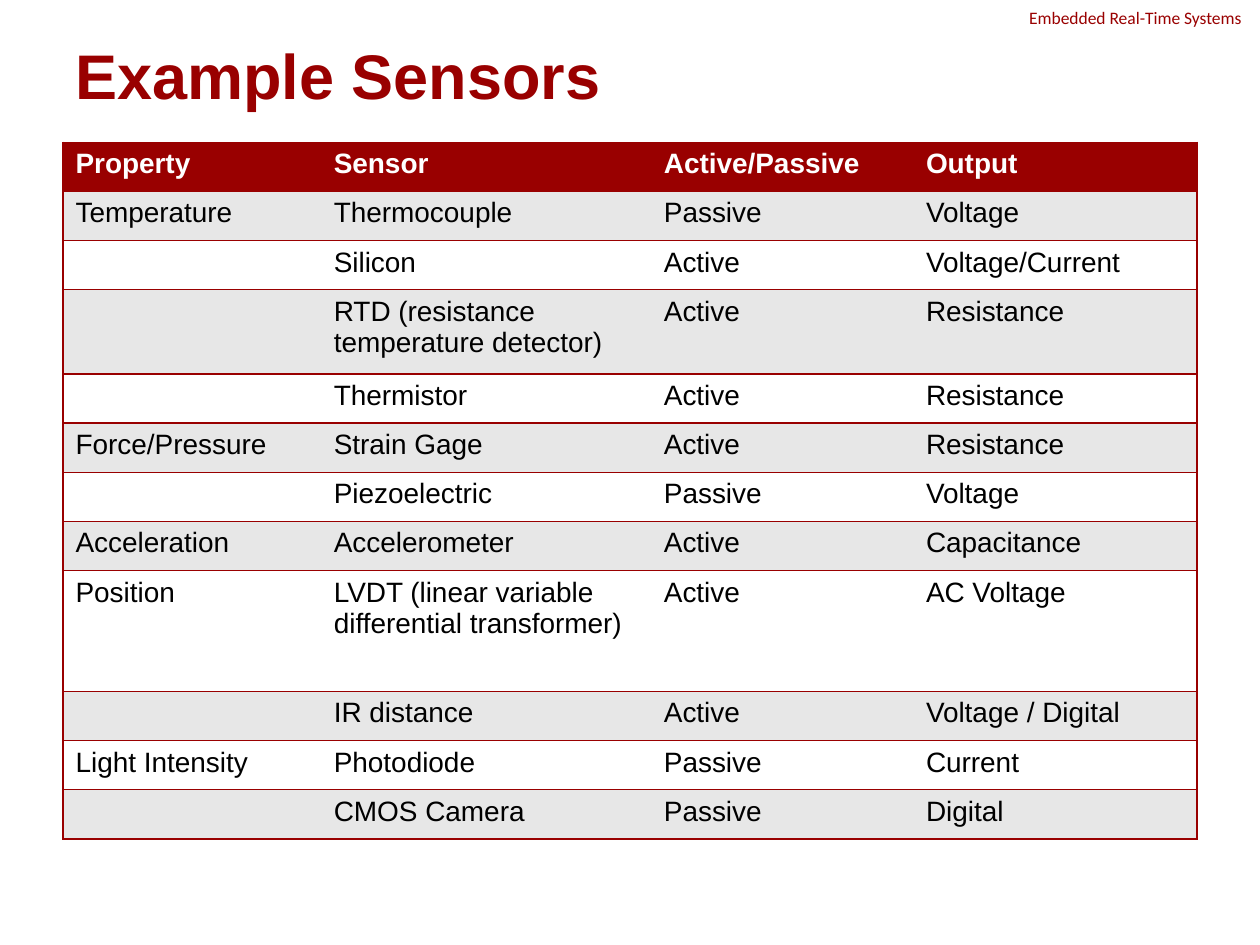
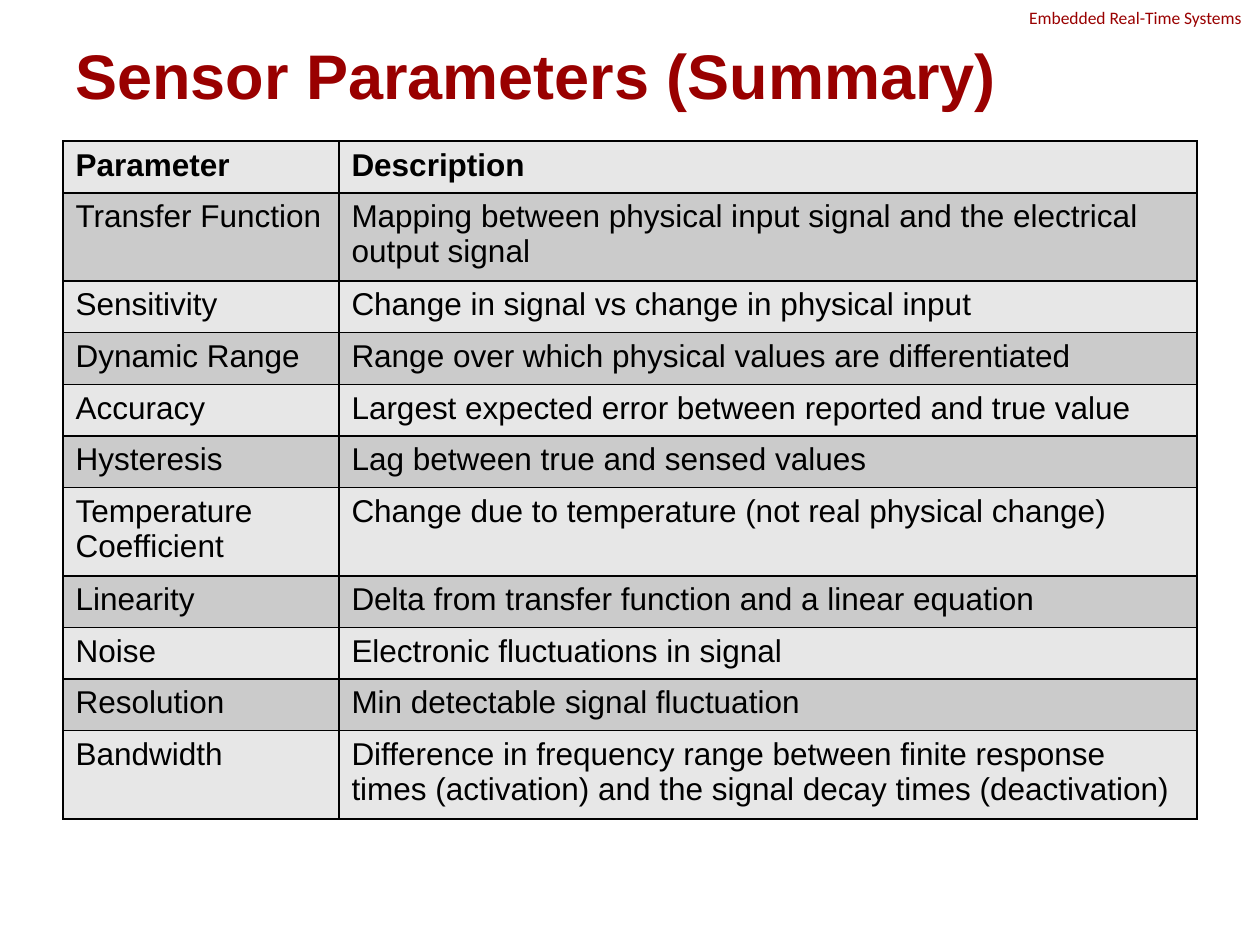
from dataclasses import dataclass

import lxml.etree
import pptx
import pptx.dml.color
import pptx.enum.text
import pptx.oxml.ns
import pptx.util

Inches = pptx.util.Inches
Pt = pptx.util.Pt
qualified = pptx.oxml.ns.qn

RED, BLACK, WHITE = "990000", "000000", "FFFFFF"
LIGHT_GREY, MID_GREY = "E7E7E7", "CBCBCB"
BODY_FONT, BANNER_FONT = "Arial", "Calibri"
PLAIN_TABLE_STYLE = "{2D5ABB26-0587-4C30-8999-92F81FD0307C}"
LEFT, CONTENT_WIDTH = 0.5, 9


@dataclass(frozen=True)
class TextStyle:
    font: str
    size: float
    color: str
    bold: bool = False


@dataclass(frozen=True)
class TableDesign:
    top: float
    column_widths: tuple[float, ...]
    row_height: float
    tall_rows: dict[int, float]
    size: float
    header_color: str
    header_fill: str
    band_fills: tuple[str, str]
    border_color: str
    inner_verticals: bool


@dataclass(frozen=True)
class TableSlide:
    title: str
    design: TableDesign
    rows: tuple[tuple[str, ...], ...]


BANNER_STYLE = TextStyle(BANNER_FONT, 10, RED)
TITLE_STYLE = TextStyle(BODY_FONT, 36, RED, True)

SENSORS = TableSlide(
    "Example Sensors",
    TableDesign(1.13, (2.05, 2.62, 2.08, 2.25), 0.39, {3: 0.67, 8: 0.96}, 16,
                WHITE, RED, (LIGHT_GREY, WHITE), RED, False),
    (
        ("Property", "Sensor", "Active/Passive", "Output"),
        ("Temperature", "Thermocouple", "Passive", "Voltage"),
        ("", "Silicon", "Active", "Voltage/Current"),
        ("", "RTD (resistance temperature detector)", "Active", "Resistance"),
        ("", "Thermistor", "Active", "Resistance"),
        ("Force/Pressure", "Strain Gage", "Active", "Resistance"),
        ("", "Piezoelectric", "Passive", "Voltage"),
        ("Acceleration", "Accelerometer", "Active", "Capacitance"),
        ("Position", "LVDT (linear variable differential transformer)", "Active", "AC Voltage"),
        ("", "IR distance", "Active", "Voltage / Digital"),
        ("Light Intensity", "Photodiode", "Passive", "Current"),
        ("", "CMOS Camera", "Passive", "Digital"),
    ),
)

PARAMETERS = TableSlide(
    "Sensor Parameters (Summary)",
    TableDesign(1.12, (2.19, 6.81), 0.41, {1: 0.7, 6: 0.7, 10: 0.7}, 18,
                BLACK, LIGHT_GREY, (MID_GREY, LIGHT_GREY), BLACK, True),
    (
        ("Parameter", "Description"),
        ("Transfer Function",
         "Mapping between physical input signal and the electrical output signal"),
        ("Sensitivity", "Change in signal vs change in physical input"),
        ("Dynamic Range", "Range over which physical values are differentiated"),
        ("Accuracy", "Largest expected error between reported and true value"),
        ("Hysteresis", "Lag between true and sensed values"),
        ("Temperature Coefficient", "Change due to temperature (not real physical change)"),
        ("Linearity", "Delta from transfer function and a linear equation"),
        ("Noise", "Electronic fluctuations in signal"),
        ("Resolution", "Min detectable signal fluctuation"),
        ("Bandwidth",
         "Difference in frequency range between finite response times (activation) "
         "and the signal decay times (deactivation)"),
    ),
)


def rgb(color: str) -> pptx.dml.color.RGBColor:
    return pptx.dml.color.RGBColor.from_string(color)


def add_span(para, text: str, style: TextStyle) -> None:
    span = para.add_run()
    span.text = text
    span.font.name = style.font
    span.font.size = Pt(style.size)
    span.font.bold = style.bold
    span.font.color.rgb = rgb(style.color)


def add_text(page, left: float, top: float, width: float, height: float,
             text: str, style: TextStyle):
    box = page.shapes.add_textbox(Inches(left), Inches(top), Inches(width), Inches(height))
    box.text_frame.word_wrap = True
    add_span(box.text_frame.paragraphs[0], text, style)
    return box.text_frame


def add_title(page, text: str) -> None:
    frame = add_text(page, LEFT, 0.29, CONTENT_WIDTH, 0.6, text, TITLE_STYLE)
    frame.margin_top = frame.margin_bottom = 0
    frame.vertical_anchor = pptx.enum.text.MSO_ANCHOR.MIDDLE


def add_borders(cell, sides: str, color: str) -> None:
    properties = cell._tc.get_or_add_tcPr()
    for side in sides:
        line = lxml.etree.SubElement(properties, qualified(f"a:ln{side}"), w=str(Pt(1)))
        fill = lxml.etree.SubElement(line, qualified("a:solidFill"))
        lxml.etree.SubElement(fill, qualified("a:srgbClr"), val=color)


def fill_cell(cell, text: str, style: TextStyle, fill: str) -> None:
    para = cell.text_frame.paragraphs[0]
    if text:
        add_span(para, text, style)
    else:
        lxml.etree.SubElement(para._p, qualified("a:endParaRPr"), sz=str(int(style.size * 100)))
    cell.fill.solid()
    cell.fill.fore_color.rgb = rgb(fill)


def add_table(page, design: TableDesign, rows: tuple[tuple[str, ...], ...]) -> None:
    heights = [design.tall_rows.get(index, design.row_height) for index in range(len(rows))]
    last_column = len(design.column_widths) - 1
    table = page.shapes.add_table(
        len(rows), last_column + 1, Inches(LEFT), Inches(design.top),
        Inches(CONTENT_WIDTH), Inches(sum(heights))).table
    table._tbl.tblPr.find(qualified("a:tableStyleId")).text = PLAIN_TABLE_STYLE
    table.horz_banding = False
    for column, width in zip(table.columns, design.column_widths):
        column.width = Inches(width)
    for row_index, texts in enumerate(rows):
        table.rows[row_index].height = Inches(heights[row_index])
        header = row_index == 0
        fill = design.header_fill if header else design.band_fills[(row_index - 1) % 2]
        color = design.header_color if header else BLACK
        style = TextStyle(BODY_FONT, design.size, color, header)
        for column_index, text in enumerate(texts):
            cell = table.cell(row_index, column_index)
            left = "L" if design.inner_verticals or column_index == 0 else ""
            right = "R" if design.inner_verticals or column_index == last_column else ""
            add_borders(cell, left + right + "TB", design.border_color)
            fill_cell(cell, text, style, fill)


def add_table_slide(deck, content: TableSlide) -> None:
    page = deck.slides.add_slide(deck.slide_layouts[6])
    page.background.fill.solid()
    page.background.fill.fore_color.rgb = rgb(WHITE)
    add_text(page, 8.07, 0.01, 2.27, 0.27, "Embedded Real-Time Systems", BANNER_STYLE)
    add_title(page, content.title)
    add_table(page, content.design, content.rows)


def main() -> None:
    deck = pptx.Presentation()
    deck.slide_width, deck.slide_height = Inches(10), Inches(7.5)
    for content in (SENSORS, PARAMETERS):
        add_table_slide(deck, content)
    deck.save("out.pptx")


if __name__ == "__main__":
    main()
